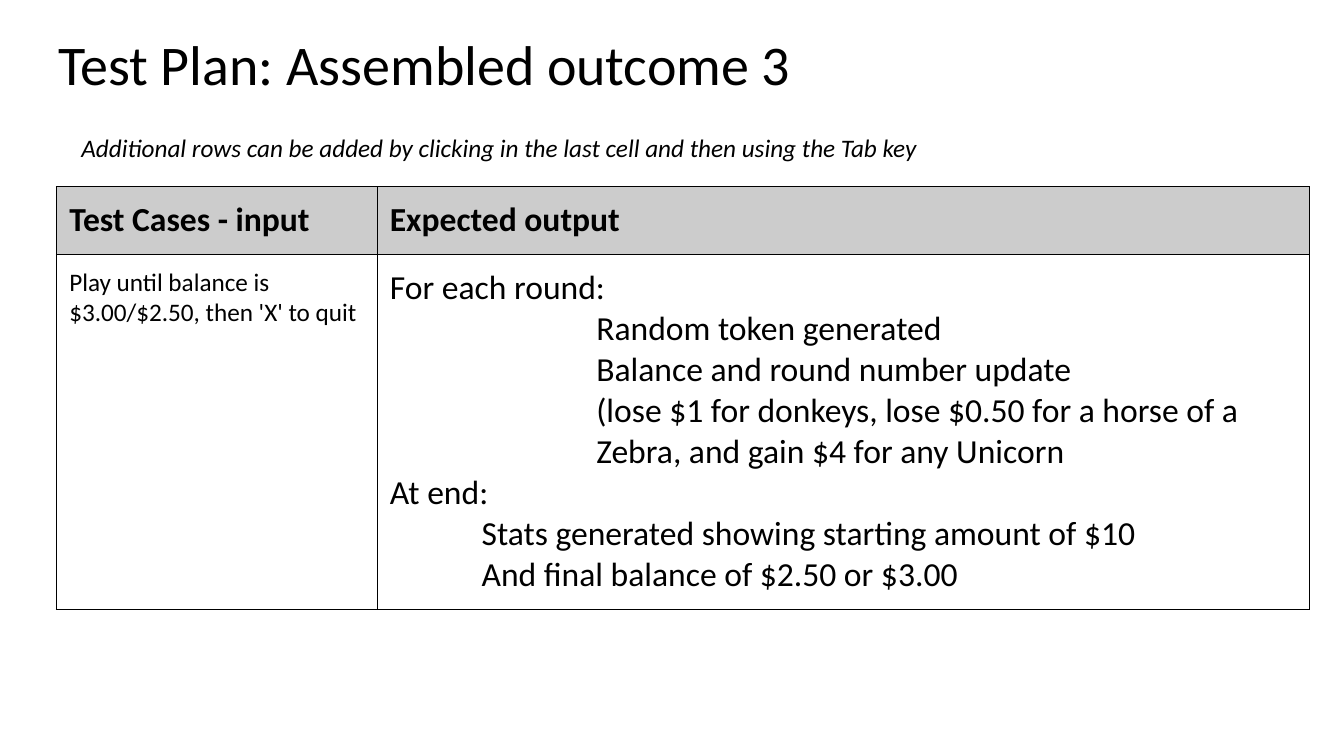
from dataclasses import dataclass

from lxml.etree import SubElement as Sub
from pptx import Presentation
from pptx.dml.color import RGBColor as Rgb
from pptx.enum.text import MSO_ANCHOR as Anchor
from pptx.oxml.ns import qn
from pptx.util import Pt

HUES = {"ink": "000000", "head": "CCCCCC"}
FONT = "Calibri"
INSET = 9.2
EDGE = 0.75


@dataclass
class Line:
    text: str
    size: float = 24
    bold: bool = False
    slant: bool = False
    indent: float = 0
    pitch: float = 1.0


@dataclass
class Box:
    left: float
    top: float
    width: float
    height: float
    line: Line
    pad: tuple[float, float]


@dataclass
class Cell:
    lines: list[Line]
    fill: str | None = None


# Slide content
DEEP, STEP = 147.5, 65.5

BOXES = [
    Box(32.4, 17.3, 894.2, 60.5,
        Line("Test Plan: Assembled outcome 3", 40, pitch=0.9), (INSET, INSET)),
    Box(51.1, 90.7, 787.7, 28.8,
        Line("Additional rows can be added by clicking in the last cell "
             "and then using the Tab key", 18, slant=True), (7.2, 3.6)),
]
COLS = [229, 666]
ROWS = [48.5, 253.5]
CELLS = [
    [Cell([Line("Test Cases - input", bold=True)], "head"),
     Cell([Line("Expected output", bold=True)], "head")],
    [Cell([Line("Play until balance is $3.00/$2.50, then 'X' to quit", 18)]),
     Cell([
         Line("For each round:"),
         Line("Random token generated", indent=DEEP),
         Line("Balance and round number update", indent=DEEP),
         Line("(lose $1 for donkeys, lose $0.50 for a horse of a", indent=DEEP),
         Line("Zebra, and gain $4 for any Unicorn", indent=DEEP),
         Line("At end:"),
         Line("Stats generated showing starting amount of $10", indent=STEP),
         Line("And final balance of $2.50 or $3.00", indent=STEP),
     ])],
]


def write(frame, lines: list[Line]) -> None:
    """Fill a text frame, one paragraph for each line."""
    for num, line in enumerate(lines):
        para = frame.add_paragraph() if num else frame.paragraphs[0]
        para.line_spacing = line.pitch
        if line.indent:
            props = para._p.get_or_add_pPr()
            props.set("marL", str(Pt(line.indent)))
            props.set("indent", "0")
        run = para.add_run()
        run.text = line.text
        font = run.font
        font.name, font.size = FONT, Pt(line.size)
        font.bold, font.italic = line.bold, line.slant
        font.color.rgb = Rgb.from_string(HUES["ink"])


def inset(item, x: float, y: float) -> None:
    """Set the margins of a text frame or a cell."""
    item.margin_left = item.margin_right = Pt(x)
    item.margin_top = item.margin_bottom = Pt(y)


def add_box(slide, box: Box) -> None:
    shape = slide.shapes.add_textbox(
        Pt(box.left), Pt(box.top), Pt(box.width), Pt(box.height))
    frame = shape.text_frame
    frame.word_wrap = True
    frame.vertical_anchor = Anchor.TOP
    inset(frame, *box.pad)
    write(frame, [box.line])


def add_edges(cell) -> None:
    """Draw the four borders; they must come before the fill."""
    props = cell._tc.get_or_add_tcPr()
    for side in ("lnL", "lnR", "lnT", "lnB"):
        edge = Sub(props, qn(f"a:{side}"), w=str(Pt(EDGE)))
        solid = Sub(edge, qn("a:solidFill"))
        Sub(solid, qn("a:srgbClr"), val=HUES["ink"])


def add_cell(cell, data: Cell) -> None:
    inset(cell, INSET, INSET)
    cell.vertical_anchor = Anchor.TOP
    write(cell.text_frame, data.lines)
    add_edges(cell)
    if data.fill:
        cell.fill.solid()
        cell.fill.fore_color.rgb = Rgb.from_string(HUES[data.fill])
    else:
        cell.fill.background()


def add_grid(slide, left: float, top: float) -> None:
    grid = slide.shapes.add_table(
        len(ROWS), len(COLS), Pt(left), Pt(top),
        Pt(sum(COLS)), Pt(sum(ROWS))).table
    grid.horz_banding = False
    for col, width in zip(grid.columns, COLS):
        col.width = Pt(width)
    for row, height, cells in zip(grid.rows, ROWS, CELLS):
        row.height = Pt(height)
        for cell, data in zip(row.cells, cells):
            add_cell(cell, data)


def main() -> None:
    deck = Presentation()
    deck.slide_width, deck.slide_height = Pt(960), Pt(540)
    slide = deck.slides.add_slide(deck.slide_layouts[6])

    # Title, table, hint
    title, hint = BOXES
    add_box(slide, title)
    add_grid(slide, 40.3, 133.2)
    add_box(slide, hint)
    deck.save("out.pptx")


if __name__ == "__main__":
    main()
